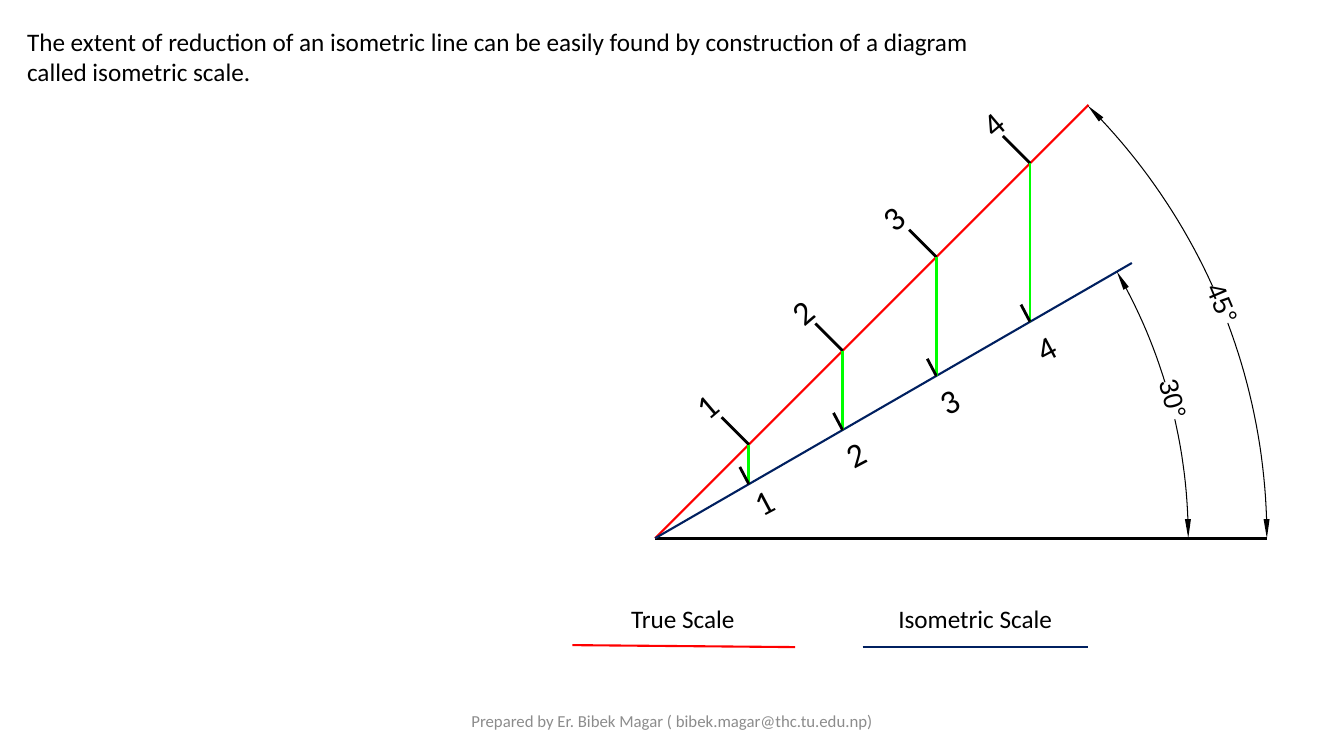
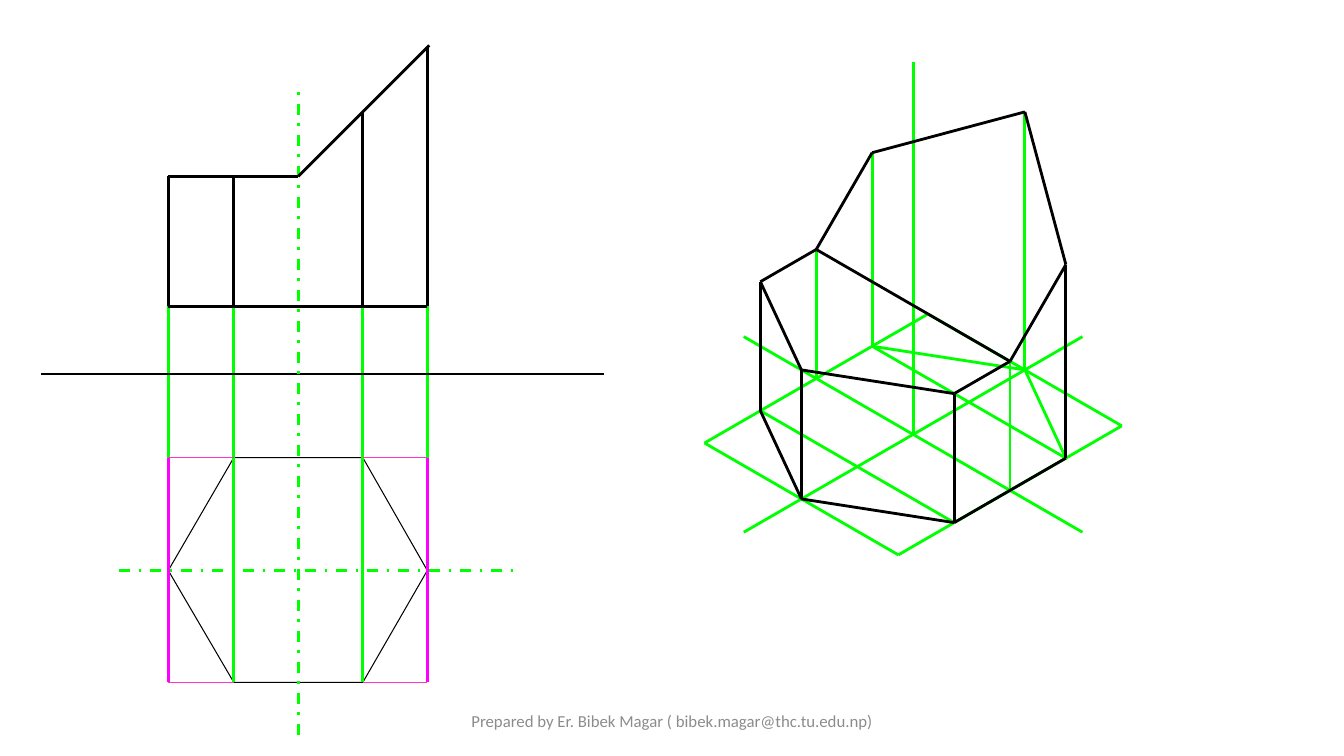
import itertools
import math
from dataclasses import dataclass

import lxml.etree
import pptx
import pptx.dml.color
import pptx.enum.dml
import pptx.enum.shapes
import pptx.enum.text
import pptx.oxml.ns
import pptx.util

COLOURS = {
    "ink": "000000",
    "true": "FF0000",
    "isometric": "002060",
    "construction": "00FF00",
    "frame": "FF00FF",
    "frame_edge": "F937C6",
    "footer": "8C8C8C",
}
FOOTER = "Prepared by Er. Bibek Magar ( bibek.magar@thc.tu.edu.np)"
CM_PER_UNIT = 2.54
HAIRLINE = 0
BOLD_LINE = 1.5

Point = tuple[float, float]


@dataclass(frozen=True)
class Segment:
    start: Point
    end: Point
    colour: str = "ink"
    width: float = HAIRLINE
    dashed: bool = False


@dataclass(frozen=True)
class Label:
    text: str
    left: float
    top: float
    width: float
    height: float
    size: float = 18
    font: str = "Calibri"
    colour: str = "ink"
    rotation: float = 0
    centred: bool = False
    middle: bool = False
    tight: bool = False


@dataclass(frozen=True)
class AngleMark:
    radius: float
    angle: float
    gap_start: float
    gap_end: float
    label: Label


def length(value: float) -> pptx.util.Length:
    return pptx.util.Cm(value * CM_PER_UNIT)


def rgb(colour: str) -> pptx.dml.color.RGBColor:
    return pptx.dml.color.RGBColor.from_string(COLOURS[colour])


def draw_segment(slide, segment: Segment) -> None:
    connector = slide.shapes.add_connector(
        pptx.enum.shapes.MSO_CONNECTOR.STRAIGHT,
        *map(length, segment.start + segment.end),
    )
    connector.line.color.rgb = rgb(segment.colour)
    connector.line.width = pptx.util.Pt(segment.width)
    if segment.dashed:
        connector.line.dash_style = pptx.enum.dml.MSO_LINE.DASH_DOT
    properties = connector._element.spPr
    lxml.etree.SubElement(properties, pptx.oxml.ns.qn("a:effectLst"))


def draw_segments(slide, segments: list[Segment]) -> None:
    for segment in segments:
        draw_segment(slide, segment)


def draw_path(slide, points: list[Point], closed: bool = False, filled: bool = False) -> None:
    corners = [(length(x), length(y)) for x, y in points]
    builder = slide.shapes.build_freeform(*corners[0], scale=1.0)
    builder.add_line_segments(corners[1:], close=closed)
    outline = builder.convert_to_shape()
    outline.shadow.inherit = False
    if filled:
        outline.fill.solid()
        outline.fill.fore_color.rgb = rgb("ink")
        outline.line.fill.background()
    else:
        outline.fill.background()
        outline.line.color.rgb = rgb("ink")
        outline.line.width = pptx.util.Pt(HAIRLINE)


def draw_label(slide, label: Label) -> None:
    box = slide.shapes.add_textbox(
        *map(length, (label.left, label.top, label.width, label.height))
    )
    box.rotation = label.rotation
    frame = box.text_frame
    frame.text = label.text
    frame.word_wrap = not label.tight
    if label.tight:
        frame.margin_left = frame.margin_right = 0
        frame.margin_top = frame.margin_bottom = 0
    if label.middle:
        frame.vertical_anchor = pptx.enum.text.MSO_ANCHOR.MIDDLE
    else:
        frame.auto_size = pptx.enum.text.MSO_AUTO_SIZE.SHAPE_TO_FIT_TEXT
    for paragraph in frame.paragraphs:
        if label.centred:
            paragraph.alignment = pptx.enum.text.PP_ALIGN.CENTER
        for run in paragraph.runs:
            run.font.name = label.font
            run.font.size = pptx.util.Pt(label.size)
            run.font.color.rgb = rgb(label.colour)


def add_page(deck):
    slide = deck.slides.add_slide(deck.slide_layouts[6])
    draw_label(slide, Label(FOOTER, 4.42, 6.95, 4.5, 0.4, 12, colour="footer",
                            centred=True, middle=True))
    return slide


def polar(origin: Point, radius: float, degrees: float) -> Point:
    angle = math.radians(degrees)
    return origin[0] + radius * math.cos(angle), origin[1] - radius * math.sin(angle)


def draw_angle_mark(slide, origin: Point, mark: AngleMark) -> None:
    head_length, head_half_width = 0.19, 0.03
    head_angle = math.degrees(head_length / mark.radius)
    arcs = ((head_angle, mark.gap_start), (mark.gap_end, mark.angle - head_angle))
    for first, last in arcs:
        steps = math.ceil(last - first)
        draw_path(slide, [
            polar(origin, mark.radius, first + (last - first) * step / steps)
            for step in range(steps + 1)
        ])
    for tip, base in ((0, head_angle), (mark.angle, mark.angle - head_angle)):
        draw_path(slide, [
            polar(origin, mark.radius + head_half_width, base),
            polar(origin, mark.radius - head_half_width, base),
            polar(origin, mark.radius, tip),
        ], closed=True, filled=True)
    draw_label(slide, mark.label)


def build_scale_page(deck) -> None:
    slide = add_page(deck)
    origin = (6.5, 5.34)
    division = 0.93
    true_run, isometric_run, base_run = 4.3, 4.73, 6.07
    slope = math.tan(math.radians(30))

    def true_point(run: float) -> Point:
        return origin[0] + run, origin[1] - run

    def isometric_point(run: float) -> Point:
        return origin[0] + run, origin[1] - run * slope

    draw_segments(slide, [
        Segment(origin, (origin[0] + base_run, origin[1])),
        Segment(origin, true_point(true_run), "true", BOLD_LINE),
        Segment(origin, isometric_point(isometric_run), "isometric", BOLD_LINE),
    ])

    true_digits = ((6.82, 3.76), (7.77, 2.83), (8.67, 1.9), (9.66, 0.97))
    isometric_digits = ((7.39, 4.72), (8.3, 4.24), (9.23, 3.72), (10.19, 3.19))
    for number, (upper, lower) in enumerate(zip(true_digits, isometric_digits), 1):
        on_true = true_point(number * division)
        on_isometric = isometric_point(number * division)
        draw_segments(slide, [
            Segment(on_true, (on_true[0] - 0.27, on_true[1] - 0.27)),
            Segment(on_true, on_isometric, "construction"),
            Segment(on_isometric, (on_isometric[0] - 0.09, on_isometric[1] - 0.17)),
        ])
        for place, rotation in ((upper, 319.6), (lower, 332.1)):
            draw_label(slide, Label(str(number), *place, 0.4, 0.5, 24, rotation=rotation))

    for mark in (
        AngleMark(5.29, 30, 12.9, 17,
                  Label("30°", 11.37, 3.85, 0.54, 0.37, 19, "Arial", rotation=75, tight=True)),
        AngleMark(6.07, 45, 20.6, 24.3,
                  Label("45°", 11.87, 2.9, 0.54, 0.37, 19, "Arial", rotation=67, tight=True)),
    ):
        draw_angle_mark(slide, origin, mark)

    draw_label(slide, Label(
        "The extent of reduction of an isometric line can be easily found by "
        "construction of a diagram\ncalled isometric scale.",
        0.17, 0.21, 10.7, 0.71,
    ))
    draw_segments(slide, [
        Segment((5.68, 6.4), (7.89, 6.42), "true", BOLD_LINE),
        Segment((8.56, 6.42), (10.79, 6.42), "isometric", BOLD_LINE),
    ])
    for name, left in (("True Scale", 5.85), ("Isometric Scale", 8.75)):
        draw_label(slide, Label(name, left, 5.94, 1.85, 0.4, centred=True))


def draw_orthographic_views(slide) -> None:
    left, inner_left, centre, inner_right, right = 1.67, 2.32, 2.96, 3.6, 4.24
    peak, shoulder, roof, base = 0.47, 1.11, 1.75, 3.04
    plan_top, plan_middle, plan_bottom = 4.54, 5.66, 6.77

    draw_path(slide, [
        (inner_left, plan_top), (left, plan_middle), (inner_left, plan_bottom),
        (inner_right, plan_bottom), (right, plan_middle), (inner_right, plan_top),
    ], closed=True)
    projectors = ((left, plan_middle), (right, plan_middle),
                  (inner_left, plan_bottom), (inner_right, plan_bottom))
    draw_segments(slide, [
        Segment((x, bottom), (x, base), "construction") for x, bottom in projectors
    ])
    draw_segments(slide, [
        Segment((0.41, 3.71), (5.99, 3.71)),
        Segment((1.18, plan_middle), (5.1, plan_middle), "construction", dashed=True),
        Segment((centre, 7.29), (centre, 0.87), "construction", dashed=True),
        Segment((left, base), (right, base)),
        Segment((left, roof), (centre, roof)),
        Segment((centre, roof), (4.26, 0.45)),
    ])
    elevation_edges = ((left, roof), (inner_left, roof), (inner_right, shoulder), (right, peak))
    draw_segments(slide, [Segment((x, base), (x, top)) for x, top in elevation_edges])
    draw_segments(slide, [
        Segment((x, plan_top), (x, plan_bottom), "frame") for x in (left, right)
    ])
    corners = itertools.product((plan_top, plan_bottom),
                                ((left, inner_left), (inner_right, right)))
    draw_segments(slide, [
        Segment((start, y), (end, y), "frame_edge", 0.5) for y, (start, end) in corners
    ])


def draw_isometric_view(slide) -> None:
    centre = (9.06, 4.31)
    side, half_depth, axis = 1.28, 1.11, 1.94
    half_side = side / 2

    def project(along: float, across: float, height: float = 0) -> Point:
        return (
            centre[0] + (along + across) * math.cos(math.radians(30)),
            centre[1] + (across - along) * math.sin(math.radians(30)) - height,
        )

    plan = {
        "left": (-side, 0),
        "front_left": (-half_side, half_depth),
        "front_fold": (0, half_depth),
        "front_right": (half_side, half_depth),
        "right": (side, 0),
        "back_right": (half_side, -half_depth),
        "back_fold": (0, -half_depth),
        "back_left": (-half_side, -half_depth),
    }
    base = {name: project(*spot) for name, spot in plan.items()}
    roof = {name: project(*spot, side + max(0, spot[0])) for name, spot in plan.items()}
    box = [project(*spot) for spot in (
        (-side, half_depth), (-side, -half_depth), (side, -half_depth), (side, half_depth))]

    axis_ends = [project(axis, 0), project(-axis, 0), project(0, axis), project(0, -axis),
                 project(0, 0, 3.69)]
    guides = [(centre, end) for end in axis_ends] + list(zip(box, box[1:] + box[:1]))
    hidden_base = (("front_left", "back_left"), ("front_right", "back_right"),
                   ("front_right", "right"), ("back_right", "right"))
    guides += [(base[start], base[end]) for start, end in hidden_base]
    guides += [(base[name], roof[name])
               for name in ("right", "front_fold", "back_fold", "back_right")]
    draw_segments(slide, [Segment(start, end, "construction") for start, end in guides])

    visible_base = (("left", "front_left"), ("front_left", "front_right"), ("left", "back_left"))
    edges = [(base[start], base[end]) for start, end in visible_base]
    edges += [(base[name], roof[name])
              for name in ("left", "front_left", "front_right", "back_left")]
    rim = list(roof.values())
    edges += list(zip(rim, rim[1:] + rim[:1]))
    edges.append((roof["back_fold"], roof["front_fold"]))
    draw_segments(slide, [Segment(start, end) for start, end in edges])


def build_prism_page(deck) -> None:
    slide = add_page(deck)
    draw_orthographic_views(slide)
    draw_isometric_view(slide)


def main() -> None:
    deck = pptx.Presentation()
    deck.slide_width = pptx.util.Cm(33.87)
    deck.slide_height = pptx.util.Cm(19.05)
    build_scale_page(deck)
    build_prism_page(deck)
    deck.save("out.pptx")


if __name__ == "__main__":
    main()
